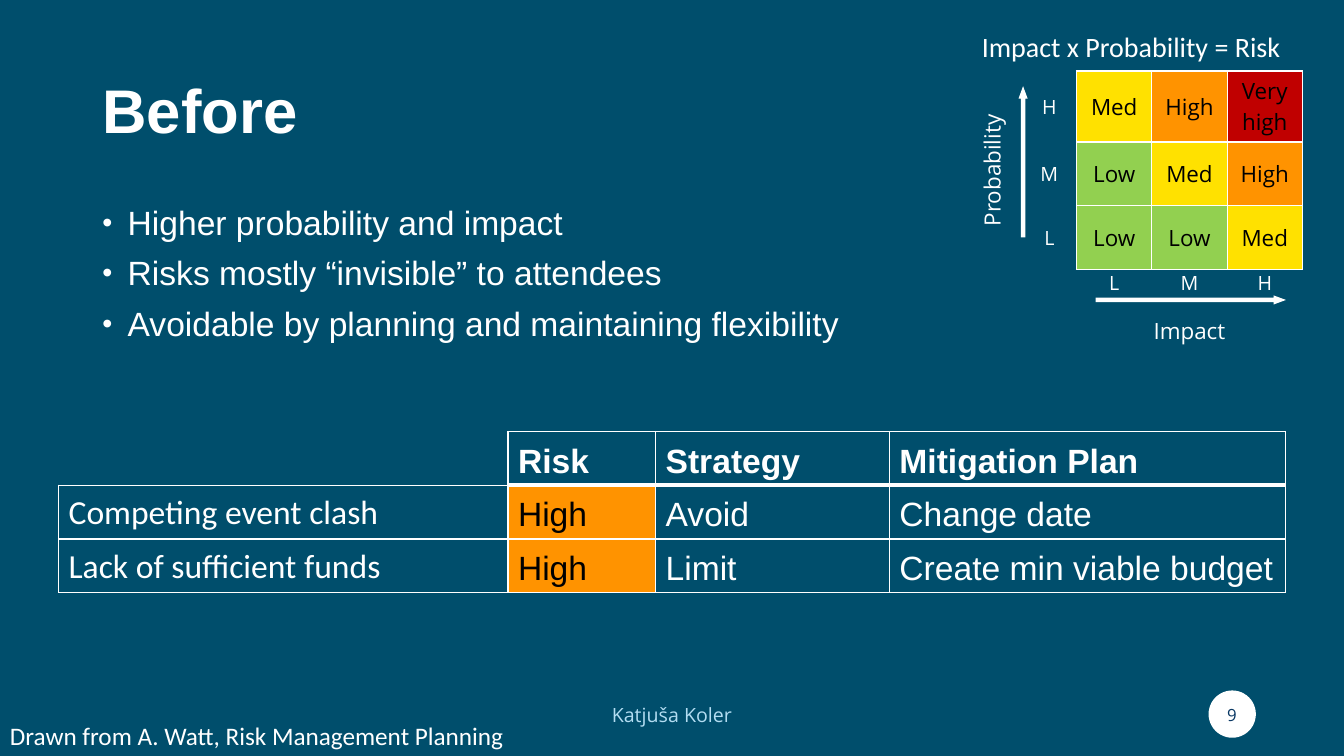
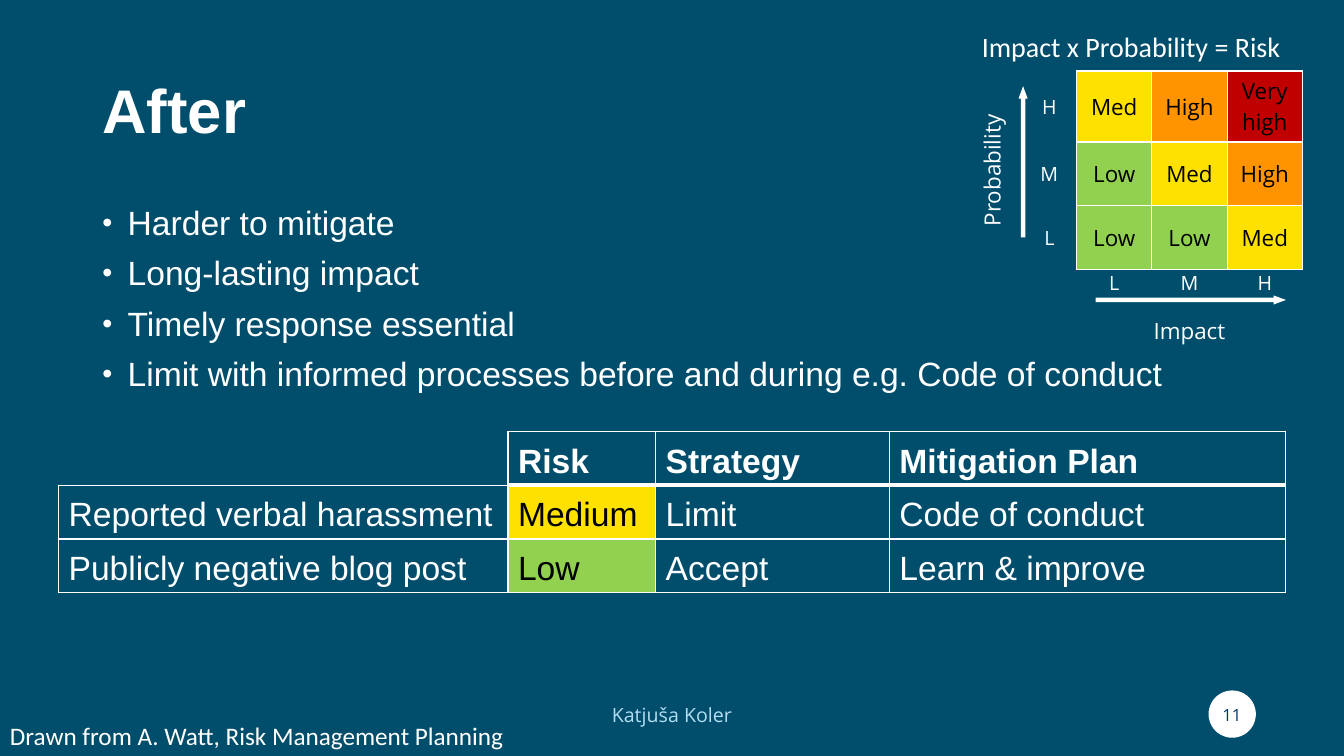
from lxml.etree import SubElement
from pptx import Presentation
from pptx.dml.color import RGBColor
from pptx.enum.shapes import MSO_SHAPE
from pptx.enum.text import MSO_ANCHOR, MSO_AUTO_SIZE, PP_ALIGN
from pptx.oxml.ns import qn
from pptx.util import Pt

NAVY, WHITE, BLACK = "004E6C", "FFFFFF", "000000"
PALE_BLUE, NUMBER_BLUE = "B3DDF2", "083763"
RISK_COLORS = {"Low": "92D050", "Med": "FFE100", "Medium": "FFE100",
               "High": "FF9300", "Very high": "C00000"}
HEADING, LABEL, NOTE = "Arial", "Open Sans", "Calibri"
PLAIN_TABLE = "{2D5ABB26-0587-4C30-8999-92F81FD0307C}"

RISK_HEADER = ["", "Risk", "Strategy", "Mitigation Plan"]
MATRIX = [("H", ["Med", "High", "Very high"]),
          ("M", ["Low", "Med", "High"]),
          ("L", ["Low", "Low", "Med"])]
PAGES = [
    {"title": "Before", "number": "9", "risk_font": NOTE,
     "points": ["Higher probability and impact",
                "Risks mostly “invisible” to attendees",
                "Avoidable by planning and maintaining flexibility"],
     "risks": [["Competing event clash", "High", "Avoid", "Change date"],
               ["Lack of sufficient funds", "High", "Limit", "Create min viable budget"]]},
    {"title": "After", "number": "11", "risk_font": HEADING,
     "points": ["Harder to mitigate",
                "Long-lasting impact",
                "Timely response essential",
                "Limit with informed processes before and during e.g. Code of conduct"],
     "risks": [["Reported verbal harassment", "Medium", "Limit", "Code of conduct"],
               ["Publicly negative blog post", "Low", "Accept", "Learn & improve"]]},
]


def paint(fill, color):
    """Fill with one solid colour."""
    fill.solid()
    fill.fore_color.rgb = RGBColor.from_string(color)


def format_paragraph(paragraph, font, size, color=WHITE, bold=False, align=PP_ALIGN.LEFT):
    """Set the font and alignment of a paragraph."""
    paragraph.alignment = align
    paragraph.font.name = font
    paragraph.font.size = Pt(size)
    paragraph.font.bold = bold
    paragraph.font.color.rgb = RGBColor.from_string(color)


def place(shape, left, top, width, height):
    """Move and size a shape, in points."""
    shape.left, shape.top = Pt(left), Pt(top)
    shape.width, shape.height = Pt(width), Pt(height)


def prepare_layout(deck):
    """Set the shared background and placeholder positions."""
    paint(deck.slide_master.background.fill, NAVY)
    layout = deck.slide_layouts[1]
    place(layout.placeholders[0], 66, 28.8, 828, 104.4)
    place(layout.placeholders[1], 66, 144, 828, 342.7)
    return layout


def add_bullet(paragraph):
    """Give a paragraph a hanging round bullet."""
    properties = paragraph._p.get_or_add_pPr()
    properties.set("marL", str(Pt(18)))
    properties.set("indent", str(-Pt(18)))
    SubElement(properties, qn("a:buSzPct"), val="85000")
    SubElement(properties, qn("a:buFont"), typeface="Arial")
    SubElement(properties, qn("a:buChar"), char="•")


def fill_placeholders(page, title, points):
    """Write the title and the bulleted list."""
    heading = page.shapes.title.text_frame
    heading.text = title
    heading.vertical_anchor = MSO_ANCHOR.MIDDLE
    format_paragraph(heading.paragraphs[0], HEADING, 44, bold=True)
    heading.paragraphs[0].line_spacing = 0.9
    body = page.placeholders[1].text_frame
    body.text = "\n".join(points)
    body.auto_size = MSO_AUTO_SIZE.NONE
    for paragraph in body.paragraphs:
        format_paragraph(paragraph, HEADING, 24)
        paragraph.line_spacing = 0.9
        paragraph.space_before = Pt(10)
        add_bullet(paragraph)


def add_label(page, text, frame, font, size, color=WHITE, align=PP_ALIGN.CENTER, wrap=True):
    """Add a one-line text box."""
    box = page.shapes.add_textbox(*map(Pt, frame))
    box.text_frame.word_wrap = wrap
    box.text_frame.vertical_anchor = MSO_ANCHOR.MIDDLE
    box.text_frame.text = text
    format_paragraph(box.text_frame.paragraphs[0], font, size, color, align=align)


def add_white_shape(page, kind, frame, rotation=0):
    """Add a white preset shape without outline or shadow."""
    shape = page.shapes.add_shape(kind, *map(Pt, frame))
    shape.shadow.inherit = False
    paint(shape.fill, WHITE)
    shape.line.fill.background()
    shape.rotation = rotation
    return shape


def add_axis(page, frame, rotation=0):
    """Add a thin arrow along one side of the matrix."""
    arrow = add_white_shape(page, MSO_SHAPE.RIGHT_ARROW, frame, rotation)
    arrow.adjustments[0] = 0.5
    arrow.adjustments[1] = 1.36


def add_plain_table(page, left, top, widths, heights):
    """Add a table without a banded style."""
    frame = page.shapes.add_table(len(heights), len(widths), Pt(left), Pt(top),
                                  Pt(sum(widths)), Pt(sum(heights)))
    table = frame.table
    table.first_row = table.horz_banding = False
    table._tbl.tblPr.find(qn("a:tableStyleId")).text = PLAIN_TABLE
    for column, width in zip(table.columns, widths):
        column.width = Pt(width)
    for row, height in zip(table.rows, heights):
        row.height = Pt(height)
    return table


def add_borders(cell, **widths):
    """Draw white borders on the sides L, R, T and B given, and none elsewhere."""
    properties = cell._tc.get_or_add_tcPr()
    for side in "LRTB":
        line = SubElement(properties, qn(f"a:ln{side}"), w=str(Pt(widths.get(side, 0))))
        if side in widths:
            fill = SubElement(line, qn("a:solidFill"))
            SubElement(fill, qn("a:srgbClr"), val=WHITE)
        else:
            SubElement(line, qn("a:noFill"))


def write_cell(cell, text, font, size, anchor=MSO_ANCHOR.MIDDLE, align=PP_ALIGN.CENTER,
               bold=False, rated=False):
    """Write a cell, coloured by its risk level when rated."""
    cell.text = text
    cell.vertical_anchor = anchor
    color = BLACK if rated else WHITE
    format_paragraph(cell.text_frame.paragraphs[0], font, size, color, bold, align)
    if rated:
        paint(cell.fill, RISK_COLORS[text])


def add_risk_table(page, risks, risk_font):
    """Add the table of risks, strategies and plans."""
    table = add_plain_table(page, 41.8, 308.2, [321, 105.5, 167, 283], [38.4] * 3)
    for row, texts in enumerate([RISK_HEADER] + risks):
        for column, text in enumerate(texts):
            cell = table.cell(row, column)
            rule = 3 if column else 1
            if row or column:
                add_borders(cell, L=1, R=1, T=rule if row == 1 else 1,
                            B=1 if row else rule)
            else:
                add_borders(cell, R=1, B=1)
            font = HEADING if column else risk_font
            if text:
                write_cell(cell, text, font, 24, MSO_ANCHOR.BOTTOM, PP_ALIGN.LEFT,
                           bold=row == 0, rated=row > 0 and column == 1)


def add_matrix(page):
    """Add the matrix of impact and probability with its axes."""
    table = add_plain_table(page, 694.1, 18.7, [36, 38.9, 53.8, 53.8, 53.8],
                            [32, 50.8, 45.6, 45.6, 28.8, 29])
    table.cell(0, 0).merge(table.cell(0, 4))
    table.cell(1, 0).merge(table.cell(3, 0))
    table.cell(5, 2).merge(table.cell(5, 4))
    write_cell(table.cell(0, 0), "Impact x Probability = Risk", NOTE, 20,
               MSO_ANCHOR.TOP, PP_ALIGN.LEFT)
    write_cell(table.cell(1, 0), "Probability", LABEL, 16)
    table.cell(1, 0)._tc.get_or_add_tcPr().set("vert", "vert270")
    write_cell(table.cell(5, 2), "Impact", LABEL, 16)
    for row, (level, ratings) in enumerate(MATRIX, 1):
        add_borders(table.cell(row, 1), R=1)
        write_cell(table.cell(row, 1), level, LABEL, 14)
        for column, rating in enumerate(ratings, 2):
            add_borders(table.cell(row, column), L=1, R=1, T=1, B=1)
            write_cell(table.cell(row, column), rating, LABEL, 16, rated=True)
    for column, level in enumerate("LMH", 2):
        add_borders(table.cell(4, column), T=1)
        add_borders(table.cell(5, column))
        write_cell(table.cell(4, column), level, LABEL, 14, MSO_ANCHOR.TOP)
        table.cell(4, column).margin_top = Pt(0)
    add_axis(page, (782.6, 211, 136, 6.5))
    add_axis(page, (676.8, 112.3, 108, 6.5), 270)


def add_footer(page, number):
    """Add the author, the page number and the source."""
    add_white_shape(page, MSO_SHAPE.OVAL, (863.3, 493.2, 33.8, 33.8))
    add_label(page, "Katjuša Koler", (318, 496.1, 324, 28.8), LABEL, 14, PALE_BLUE)
    add_label(page, number, (862, 496.1, 36, 28.8), LABEL, 12, NUMBER_BLUE)
    add_label(page, "Drawn from A. Watt, Risk Management Planning",
              (0, 511.2, 375.8, 28.8), NOTE, 18, align=PP_ALIGN.LEFT, wrap=False)


def main():
    """Build and save the deck."""
    deck = Presentation()
    deck.slide_width, deck.slide_height = Pt(960), Pt(540)
    layout = prepare_layout(deck)
    for content in PAGES:
        page = deck.slides.add_slide(layout)
        fill_placeholders(page, content["title"], content["points"])
        add_footer(page, content["number"])
        add_risk_table(page, content["risks"], content["risk_font"])
        add_matrix(page)
    deck.save("out.pptx")


main()
